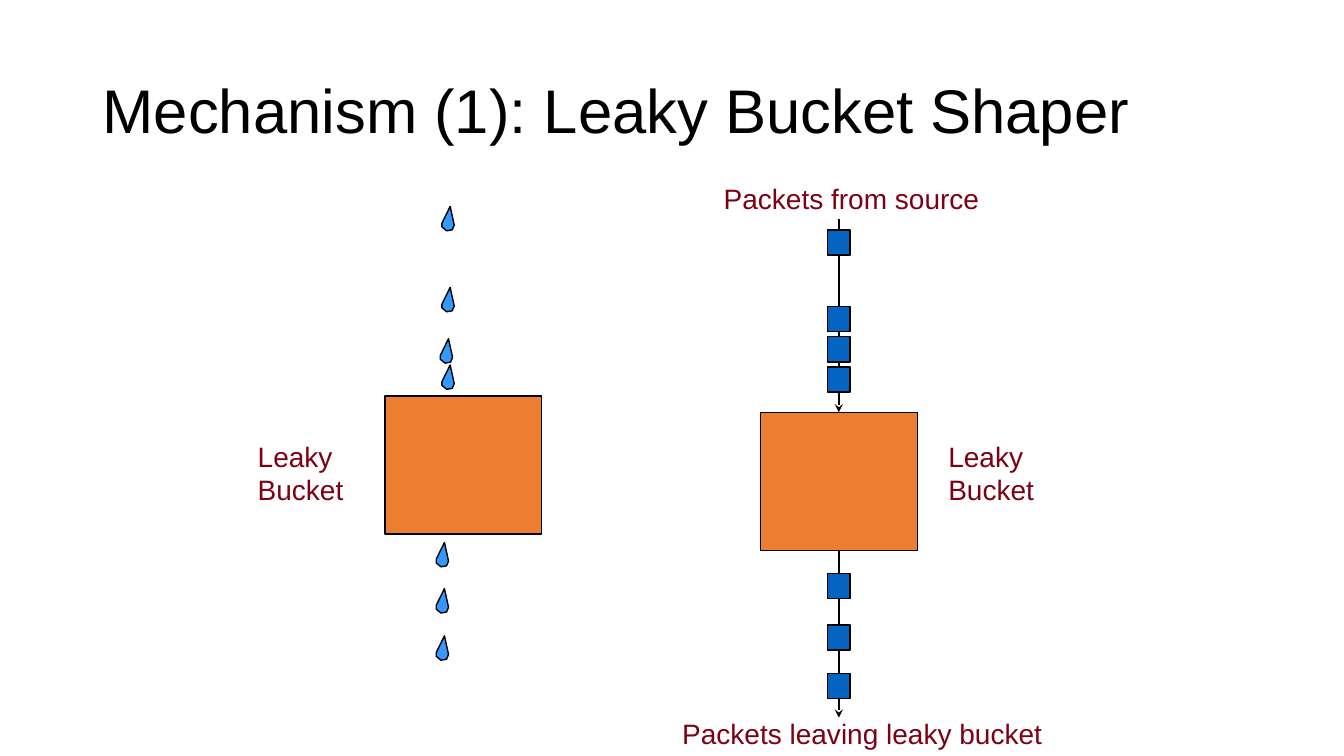
from pptx import Presentation
from pptx import util as u
from pptx.dml.color import RGBColor
from pptx.enum import shapes, text
from pptx.oxml.ns import qn
from lxml import etree

Pt = u.Pt

TITLE = "Mechanism (1): Leaky Bucket Shaper"
LABELS = [  # left, top, width, height, lines
    (177, 310.3, 76.3, 55.4, ["Leaky", "Bucket"]),
    (670.3, 310.3, 76.3, 55.4, ["Leaky", "Bucket"]),
    (509.8, 126, 198, 31.7, ["Packets from source"]),
    (480.2, 508.3, 273.6, 31.7, ["Packets leaving leaky bucket"]),
]
DROP_TIPS = [(321.6, 147.5), (321.6, 205.3), (320.4, 242), (321.6, 260.7),
             (317.5, 387.5), (317.5, 420.5), (317.5, 454.2)]
DROP_OUTLINE = [(-5.9, 12), (-5.9, 14.6), (-2.5, 17.4), (1.5, 16.7), (2.9, 13.3)]
PACKET_TOPS = [164.2, 218.9, 240.5, 262, 409.7, 446.4, 481]
PACKET_SIZE = (16, 18)
BUCKET_SIZE = (112, 98.6)
WATER_BUCKET = (275, 283)
PACKET_BUCKET_TOP = 294.5
FLOW_X, FLOW_TOP, FLOW_BOTTOM = 599.2, 156.2, 512.6

THEME = {
    "font": "Arial", "title_size": 44, "label_size": 20, "line_width": 1,
    "ink": "000000", "label": "7D0013",
    "bucket": "ED7D31", "packet": "0563C1", "drop": "3399FF",
}


def color(role):
    return RGBColor.from_string(THEME[role])


def format_text(paragraph, size, role):
    for name, value in {"name": THEME["font"], "size": Pt(THEME[size])}.items():
        setattr(paragraph.font, name, value)
    paragraph.font.color.rgb = color(role)


def outline(part):
    part.line.color.rgb = color("ink")
    part.line.width = Pt(THEME["line_width"])


def paint(part, role):
    part.shadow.inherit = False
    part.fill.solid()
    part.fill.fore_color.rgb = color(role)
    outline(part)
    return part


def add_box(slide, left, top, size, role):
    box = slide.shapes.add_shape(
        shapes.MSO_SHAPE.RECTANGLE, *map(Pt, (left, top, *size)))
    return paint(box, role)


def add_drop(slide, tip_x, tip_y):
    builder = slide.shapes.build_freeform(Pt(tip_x), Pt(tip_y))
    builder.add_line_segments(
        [(Pt(tip_x + dx), Pt(tip_y + dy)) for dx, dy in DROP_OUTLINE], close=True)
    paint(builder.convert_to_shape(), "drop")


def add_flow(slide, start, end):
    """Draw a vertical arrow along the packet flow."""
    flow = slide.shapes.add_connector(
        shapes.MSO_CONNECTOR.STRAIGHT, Pt(FLOW_X), Pt(start), Pt(FLOW_X), Pt(end))
    outline(flow)
    etree.SubElement(flow.line._get_or_add_ln(), qn("a:tailEnd"), type="stealth")
    etree.SubElement(flow._element.spPr, qn("a:effectLst"))
    return flow


def add_label(slide, left, top, width, height, lines):
    label = slide.shapes.add_textbox(*map(Pt, (left, top, width, height)))
    frame = label.text_frame
    frame.word_wrap = False
    frame.text = "\n".join(lines)
    for paragraph in frame.paragraphs:
        format_text(paragraph, "label_size", "label")


def add_title(slide):
    title = slide.shapes.title
    place = {"left": 66, "top": 28.8, "width": 828, "height": 104.4}
    for name, value in place.items():
        setattr(title, name, Pt(value))
    frame = title.text_frame
    frame.text = TITLE
    frame.vertical_anchor = text.MSO_ANCHOR.MIDDLE
    paragraph = frame.paragraphs[0]
    paragraph.alignment = text.PP_ALIGN.LEFT
    paragraph.line_spacing = 0.9
    format_text(paragraph, "title_size", "ink")


def main():
    deck = Presentation()
    deck.slide_width, deck.slide_height = Pt(960), Pt(540)
    slide = deck.slides.add_slide(deck.slide_layouts.get_by_name("Title Only"))
    add_title(slide)

    add_box(slide, *WATER_BUCKET, BUCKET_SIZE, "bucket")
    for tip in DROP_TIPS:
        add_drop(slide, *tip)

    bucket = add_box(slide, FLOW_X - BUCKET_SIZE[0] / 2, PACKET_BUCKET_TOP,
                     BUCKET_SIZE, "bucket")
    bucket_bottom = PACKET_BUCKET_TOP + BUCKET_SIZE[1]
    add_flow(slide, FLOW_TOP, PACKET_BUCKET_TOP).end_connect(bucket, 0)
    add_flow(slide, bucket_bottom, FLOW_BOTTOM).begin_connect(bucket, 2)
    for top in PACKET_TOPS:
        add_box(slide, FLOW_X - PACKET_SIZE[0] / 2, top, PACKET_SIZE, "packet")

    for label in LABELS:
        add_label(slide, *label)
    deck.save("out.pptx")


if __name__ == "__main__":
    main()
